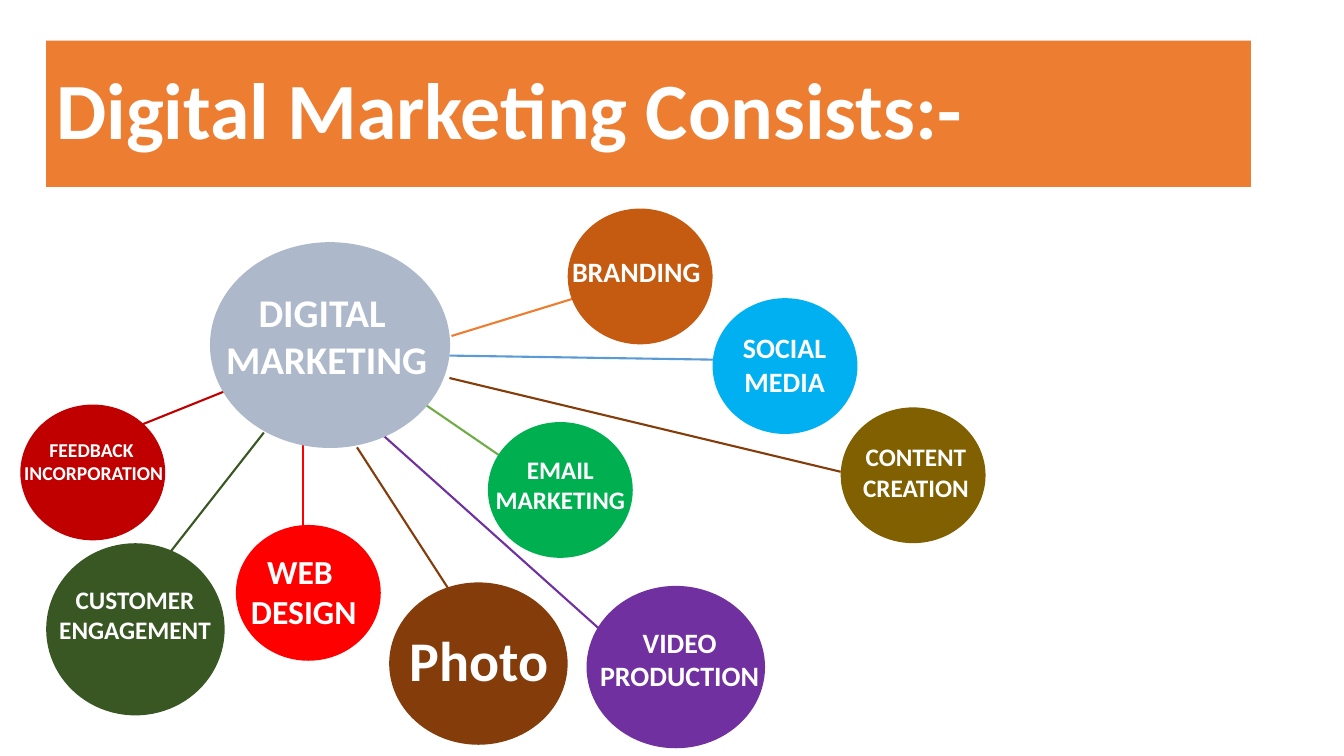
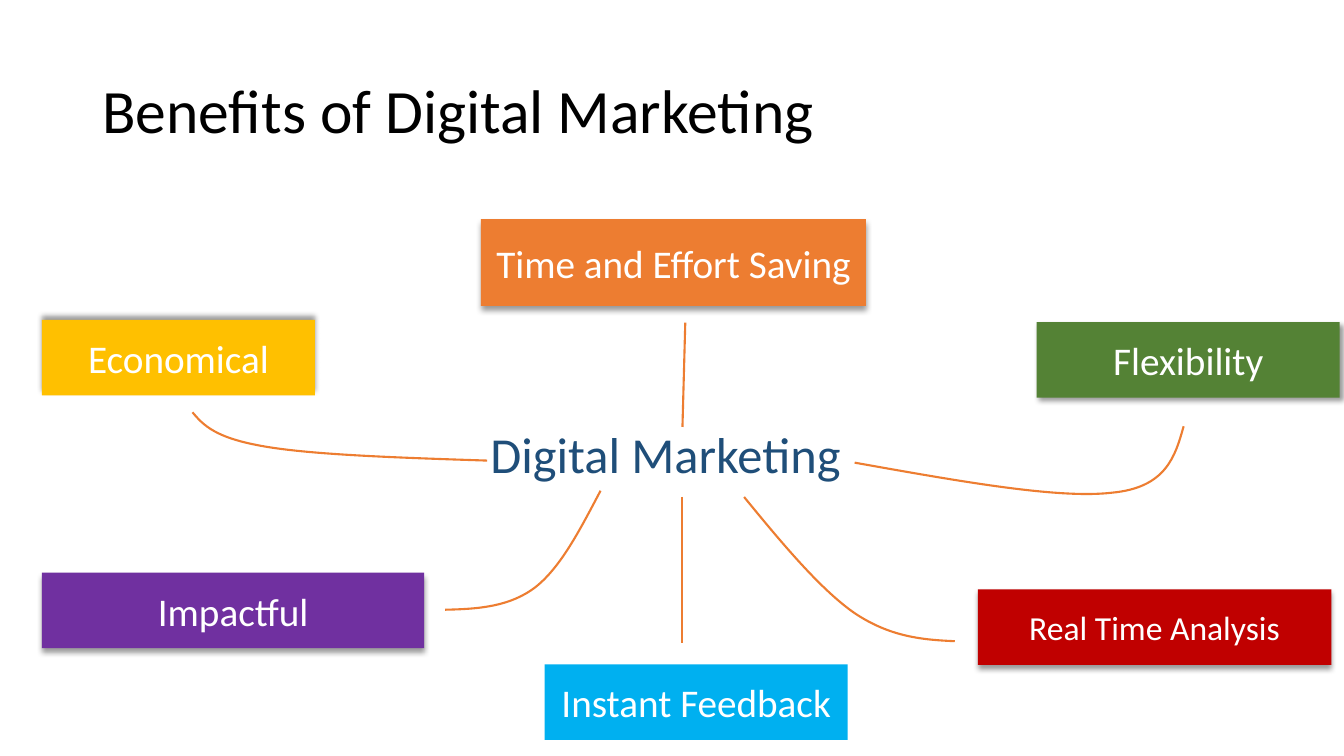
from typing import NamedTuple

from lxml.etree import SubElement
from pptx import Presentation
from pptx.dml.color import RGBColor
from pptx.enum.shapes import MSO_CONNECTOR, MSO_SHAPE
from pptx.enum.text import MSO_ANCHOR, MSO_AUTO_SIZE, PP_ALIGN
from pptx.oxml.ns import qn
from pptx.util import Pt

FONT = "Calibri"
LINE_WIDTH = 1.5
TITLE_ONLY = 5

WHITE = RGBColor(0xFF, 0xFF, 0xFF)
BLACK = RGBColor(0x00, 0x00, 0x00)
ORANGE = RGBColor(0xED, 0x7D, 0x31)
RUST = RGBColor(0xC5, 0x5A, 0x11)
BROWN = RGBColor(0x84, 0x3C, 0x0B)
OLIVE = RGBColor(0x80, 0x60, 0x00)
GOLD = RGBColor(0xFF, 0xC0, 0x00)
RED = RGBColor(0xFF, 0x00, 0x00)
DARK_RED = RGBColor(0xC0, 0x00, 0x00)
PURPLE = RGBColor(0x70, 0x30, 0xA0)
NAVY = RGBColor(0x1F, 0x4E, 0x79)
BLUE = RGBColor(0x5B, 0x9B, 0xD5)
SKY = RGBColor(0x00, 0xB0, 0xF0)
GREY_BLUE = RGBColor(0xAD, 0xB9, 0xCA)
EMERALD = RGBColor(0x00, 0xB0, 0x50)
LIGHT_GREEN = RGBColor(0x70, 0xAD, 0x47)
LEAF_GREEN = RGBColor(0x54, 0x82, 0x35)
DARK_GREEN = RGBColor(0x38, 0x57, 0x23)

SMALL = (103.5, 97)
LARGE = (127.5, 116)


class Bubble(NamedTuple):
    """A filled circle with a label box of its own; lengths in points."""
    lines: tuple
    font_size: float
    fill: RGBColor
    corner: tuple
    size: tuple
    label_corner: tuple
    label_width: float


class Spoke(NamedTuple):
    start: tuple
    end: tuple
    color: RGBColor


class Benefit(NamedTuple):
    """A coloured box; shadow_angle is None where it casts no shadow."""
    text: str
    fill: RGBColor
    frame: tuple
    shadow_angle: int | None = 90
    font_size: float = 28


HUB = Bubble(("DIGITAL ", "MARKETING"), 28, GREY_BLUE,
             (150, 173), (171.5, 147), (144, 202.5), 178.5)

CHANNELS = [
    Bubble(("BRANDING",), 20, RUST, (405.5, 149), SMALL, (398, 178), 113),
    Bubble(("SOCIAL MEDIA",), 20, SKY, (509, 213), SMALL, (504, 232.5), 113),
    Bubble(("CONTENT CREATION",), 18, OLIVE,
           (600.5, 291), SMALL, (590.5, 312), 127.5),
    Bubble(("FEEDBACK ", "INCORPORATION"), 14, DARK_RED,
           (14.5, 289), SMALL, (-8, 309), 150),
    Bubble(("CUSTOMER", "ENGAGEMENT"), 18, DARK_GREEN,
           (33, 388), (127.5, 123), (21.5, 414), 150),
    Bubble(("WEB ", "DESIGN"), 24, RED, (168.5, 375), SMALL, (142, 390), 150),
    Bubble(("Photo",), 40, BROWN, (278, 416), LARGE, (267, 443), 150),
    Bubble(("VIDEO PRODUCTION",), 20, PURPLE,
           (419, 418.5), LARGE, (410.5, 443), 150),
    Bubble(("EMAIL MARKETING",), 18, EMERALD,
           (348.5, 301.5), SMALL, (335.5, 321), 129.5),
]

CHANNEL_SPOKES = [
    Spoke((322.5, 240), (410.5, 213), ORANGE),
    Spoke((321, 254), (516, 257), BLUE),
    Spoke((321, 270), (600.5, 337), BROWN),
    Spoke((160.5, 279.5), (102, 303), DARK_RED),
    Spoke((188.5, 309), (118, 399), DARK_GREEN),
    Spoke((216.5, 312), (216.5, 386), RED),
    Spoke((255, 319.5), (322.5, 424), BROWN),
    Spoke((271.5, 309), (429, 450), PURPLE),
    Spoke((303, 288.5), (366.5, 332), LIGHT_GREEN),
]

BENEFITS = [
    Benefit("Time and Effort Saving", ORANGE, (343.5, 156.5, 275, 62)),
    Benefit("Instant Feedback", SKY, (389, 474.5, 216.5, 54), None),
    Benefit("Real Time Analysis", DARK_RED, (698.5, 421, 252.5, 54),
            font_size=24),
    Benefit("Impactful", PURPLE, (30, 409, 273, 54)),
    Benefit("Economical", GOLD, (30, 228.5, 195, 54), 270),
    Benefit("Flexibility", LEAF_GREEN, (740.5, 230, 216.5, 54), 45),
]

BENEFIT_SPOKES = [
    Spoke((487.5, 305), (489.5, 230.5), ORANGE),
    Spoke((487, 355), (487, 459.5), ORANGE),
]

# Each curve: a start, then two control points and an end per Bezier piece.
BENEFIT_CURVES = [
    [(348, 329), (286.5, 327), (224.5, 325), (189.5, 319),
     (154, 313), (145.5, 304), (137.5, 294.5)],
    [(610.5, 330.5), (683.5, 343.5), (755.5, 356.5), (794, 352),
     (833, 348.5), (839.5, 326), (845.5, 304.5)],
    [(429, 350.5), (414.5, 378), (401, 404.5), (383, 419),
     (364.5, 433.5), (341.5, 435), (318, 435.5)],
    [(531.5, 355), (558.5, 388), (586, 421), (610.5, 438),
     (636, 455), (659, 457), (682, 458)],
]


def points(*lengths):
    return [Pt(length) for length in lengths]


def write(frame, lines, size, color, bold=False, align=PP_ALIGN.CENTER,
          anchor=MSO_ANCHOR.MIDDLE):
    """Fill a text frame with one paragraph per line."""
    frame.word_wrap = True
    frame.vertical_anchor = anchor
    for index, line in enumerate(lines):
        paragraph = frame.add_paragraph() if index else frame.paragraphs[0]
        paragraph.alignment = align
        run = paragraph.add_run()
        run.text = line
        run.font.name = FONT
        run.font.size = Pt(size)
        run.font.bold = bold
        run.font.color.rgb = color


def add_titled_slide(deck, text, frame, size, color, bold=False, band=None):
    slide = deck.slides.add_slide(deck.slide_layouts[TITLE_ONLY])
    title = slide.shapes.title
    title.left, title.top, title.width, title.height = points(*frame)
    if band is not None:
        title.fill.solid()
        title.fill.fore_color.rgb = band
    write(title.text_frame, [text], size, color, bold, PP_ALIGN.LEFT)
    title.text_frame.auto_size = MSO_AUTO_SIZE.NONE
    title.text_frame.paragraphs[0].line_spacing = 0.9
    return slide


def add_filled(slide, kind, frame, fill):
    shape = slide.shapes.add_shape(kind, *points(*frame))
    shape.fill.solid()
    shape.fill.fore_color.rgb = fill
    shape.line.fill.background()
    shape.shadow.inherit = False
    return shape


def add_label(slide, frame, lines, size, color, **style):
    box = slide.shapes.add_textbox(*points(*frame))
    write(box.text_frame, lines, size, color, **style)


def add_bubble(slide, bubble):
    add_filled(slide, MSO_SHAPE.OVAL, bubble.corner + bubble.size, bubble.fill)
    height = 55 if len(bubble.lines) > 1 or " " in bubble.lines[0] else 32
    add_label(slide, (*bubble.label_corner, bubble.label_width, height),
              bubble.lines, bubble.font_size, WHITE, bold=True,
              anchor=MSO_ANCHOR.TOP)


def add_spoke(slide, spoke):
    line = slide.shapes.add_connector(
        MSO_CONNECTOR.STRAIGHT, *points(*spoke.start, *spoke.end))
    line.line.color.rgb = spoke.color
    line.line.width = Pt(LINE_WIDTH)
    SubElement(line._element.spPr, qn("a:effectLst"))


def add_curve(slide, start, *controls):
    """Draw an open Bezier line by regrouping a freeform's points in threes."""
    builder = slide.shapes.build_freeform(*points(*start))
    builder.add_line_segments([points(*spot) for spot in controls], close=False)
    curve = builder.convert_to_shape()
    curve.fill.background()
    curve.line.color.rgb = ORANGE
    curve.line.width = Pt(LINE_WIDTH)
    curve.shadow.inherit = False

    outline = curve._element.find(".//" + qn("a:path"))
    segments = outline.findall(qn("a:lnTo"))
    for first in range(0, len(segments), 3):
        bezier = SubElement(outline, qn("a:cubicBezTo"))
        for segment in segments[first:first + 3]:
            bezier.append(segment[0])
            outline.remove(segment)


def cast_shadow(shape, angle):
    """Add a soft black shadow falling towards the angle, in degrees."""
    effects = shape._element.spPr.find(qn("a:effectLst"))
    shadow = SubElement(effects, qn("a:outerShdw"), blurRad=str(Pt(4)),
                        dist=str(Pt(3)), dir=str(angle * 60000),
                        rotWithShape="0")
    black = SubElement(shadow, qn("a:srgbClr"), val=str(BLACK))
    SubElement(black, qn("a:alpha"), val="40000")


def add_benefit(slide, benefit):
    box = add_filled(slide, MSO_SHAPE.RECTANGLE, benefit.frame, benefit.fill)
    if benefit.shadow_angle is not None:
        cast_shadow(box, benefit.shadow_angle)
    write(box.text_frame, [benefit.text], benefit.font_size, WHITE)


def build_channels(deck):
    slide = add_titled_slide(deck, "Digital Marketing Consists:-",
                             (33, 29, 860.5, 104.5), 57, WHITE, True, ORANGE)
    for spoke in CHANNEL_SPOKES:
        add_spoke(slide, spoke)
    for bubble in [HUB, *CHANNELS]:
        add_bubble(slide, bubble)


def build_benefits(deck):
    slide = add_titled_slide(deck, "Benefits of Digital Marketing",
                             (66, 29, 828, 104.5), 44, BLACK)
    add_label(slide, (332.5, 275, 294, 98), ["Digital Marketing "], 36, NAVY)
    for benefit in BENEFITS:
        add_benefit(slide, benefit)
    for spoke in BENEFIT_SPOKES:
        add_spoke(slide, spoke)
    for curve in BENEFIT_CURVES:
        add_curve(slide, *curve)


def main():
    deck = Presentation()
    deck.slide_width, deck.slide_height = points(960, 540)
    build_channels(deck)
    build_benefits(deck)
    deck.save("out.pptx")


if __name__ == "__main__":
    main()
